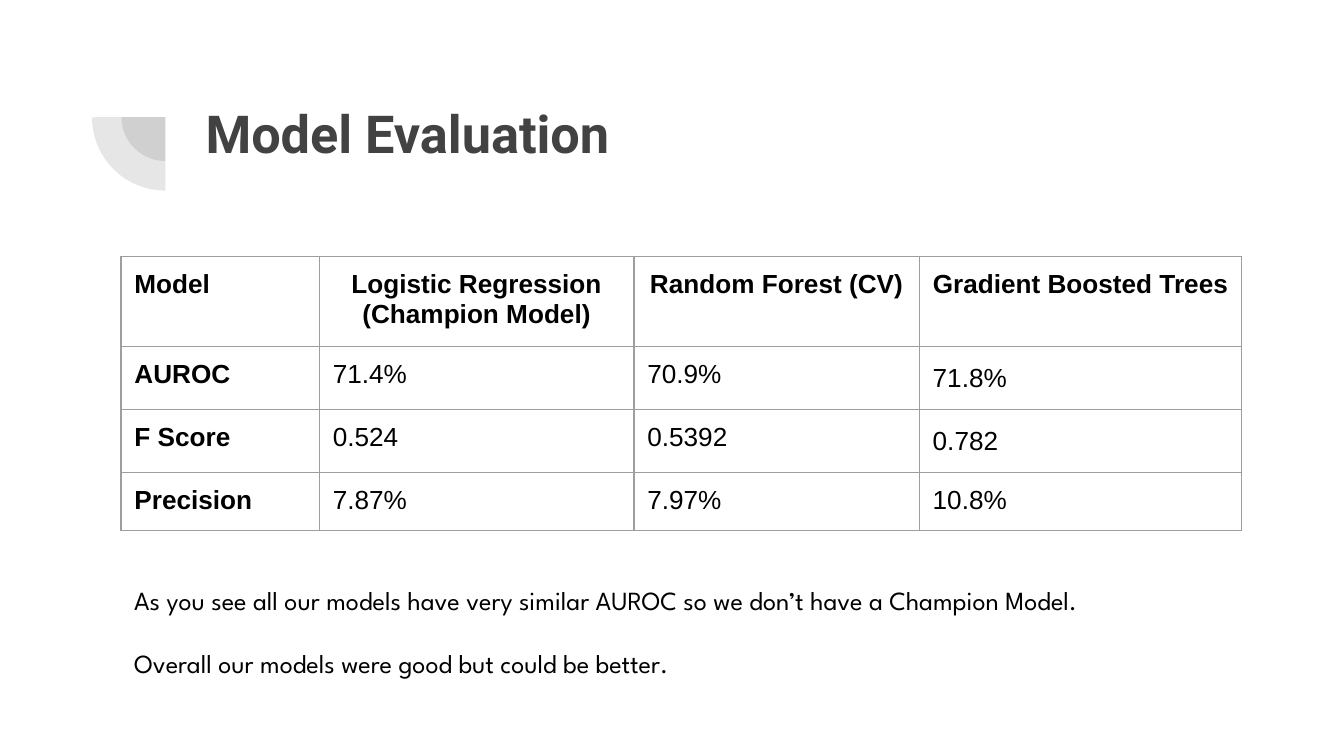
from lxml import etree
from pptx import Presentation
from pptx.dml.color import RGBColor
from pptx.enum import shapes, text
from pptx.oxml.ns import qn
from pptx.util import Pt

INSET = Pt(7.2)
MARGINS = dict.fromkeys(("margin_left", "margin_top", "margin_right", "margin_bottom"), INSET)


def color(hex_string):
    return RGBColor.from_string(hex_string)


def write(paragraph, words, font_color="000000", **font_format):
    """Add the words as one run and set its font from the format values."""
    run = paragraph.add_run()
    run.text = words
    for name, value in font_format.items():
        setattr(run.font, name, value)
    run.font.color.rgb = color(font_color)


presentation = Presentation()
presentation.slide_width, presentation.slide_height = Pt(720), Pt(405)
slide = presentation.slides.add_slide(presentation.slide_layouts[6])

# Two quarter discs around one centre
center_x, center_y = 88.6, 62.8
for radius in (23.5, 39.3):
    quarter = slide.shapes.add_shape(
        shapes.MSO_SHAPE.PIE, Pt(center_x - radius), Pt(center_y - radius),
        Pt(2 * radius), Pt(2 * radius))
    quarter.adjustments[0], quarter.adjustments[1] = 54, 108  # 90 to 180 degrees
    quarter.shadow.inherit = False
    quarter.line.fill.background()
    quarter.fill.solid()
    quarter.fill.fore_color.rgb = color("424242")
    fill_color = quarter.fill._xPr.find(qn("a:solidFill"))[0]
    etree.SubElement(fill_color, qn("a:alpha"), val="13000")

# Title and remarks
title_font = {"name": "Roboto", "size": Pt(28), "bold": True, "font_color": "424242"}
remark_font = {"name": "League Spartan", "size": Pt(14)}
text_blocks = [
    ((103, 46.8, 553.7, 78.5), title_font, ["Model Evaluation"]),
    ((64.8, 306, 600.5, 65.5), remark_font, [
        "As you see all our models have very similar AUROC so we don’t have a Champion Model.",
        "Overall our models were good but could be better.",
    ]),
]
for box, font_format, lines in text_blocks:
    frame = slide.shapes.add_textbox(*map(Pt, box)).text_frame
    frame_format = {**MARGINS, "word_wrap": True, "vertical_anchor": text.MSO_ANCHOR.TOP}
    for name, value in frame_format.items():
        setattr(frame, name, value)
    for index, line in enumerate(lines):
        paragraph = frame.add_paragraph() if index else frame.paragraphs[0]
        paragraph.space_before = Pt(17 if index else 0)
        write(paragraph, line, **font_format)

# Scores by model
scores = [
    ["Model", "Logistic Regression (Champion Model)", "Random Forest (CV)", "Gradient Boosted Trees"],
    ["AUROC", "71.4%", "70.9%", "71.8%"],
    ["F Score", "0.524", "0.5392", "0.782"],
    ["Precision", "7.87%", "7.97%", "10.8%"],
]
column_widths = [106.3, 168.5, 152.9, 172.8]
row_heights = [46, 32.4, 32.4, 30.2]
table = slide.shapes.add_table(
    len(scores), len(column_widths), Pt(64.8), Pt(137.5),
    Pt(sum(column_widths)), Pt(sum(row_heights))).table
table.first_row = table.horz_banding = False
for column, width in zip(table.columns, column_widths):
    column.width = Pt(width)
for row, height in zip(table.rows, row_heights):
    row.height = Pt(height)

for row_index, row_values in enumerate(scores):
    for column_index, value in enumerate(row_values):
        cell = table.cell(row_index, column_index)
        for name, margin in MARGINS.items():
            setattr(cell, name, margin)
        paragraph = cell.text_frame.paragraphs[0]
        if row_index == 0 and column_index > 0:
            paragraph.alignment = text.PP_ALIGN.CENTER
        if row_index in (1, 2) and column_index == 3:
            paragraph.line_spacing = 1.15
        write(paragraph, value, name="Arial", size=Pt(14),
              bold=row_index == 0 or column_index == 0)
        properties = cell._tc.get_or_add_tcPr()
        for side in ("lnL", "lnR", "lnT", "lnB"):
            border = etree.SubElement(properties, qn(f"a:{side}"), w=str(Pt(0.75)))
            border_fill = etree.SubElement(border, qn("a:solidFill"))
            etree.SubElement(border_fill, qn("a:srgbClr"), val="9E9E9E")
        cell.fill.background()

presentation.save("out.pptx")
